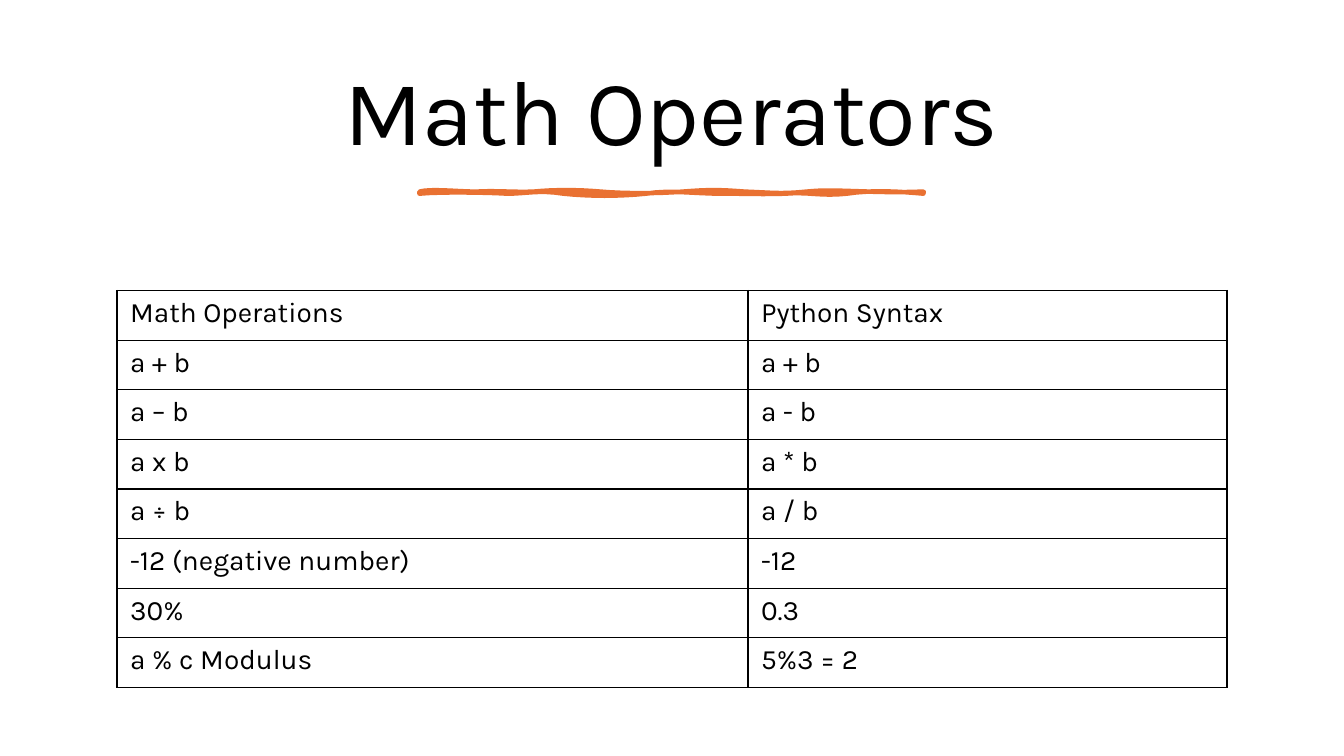
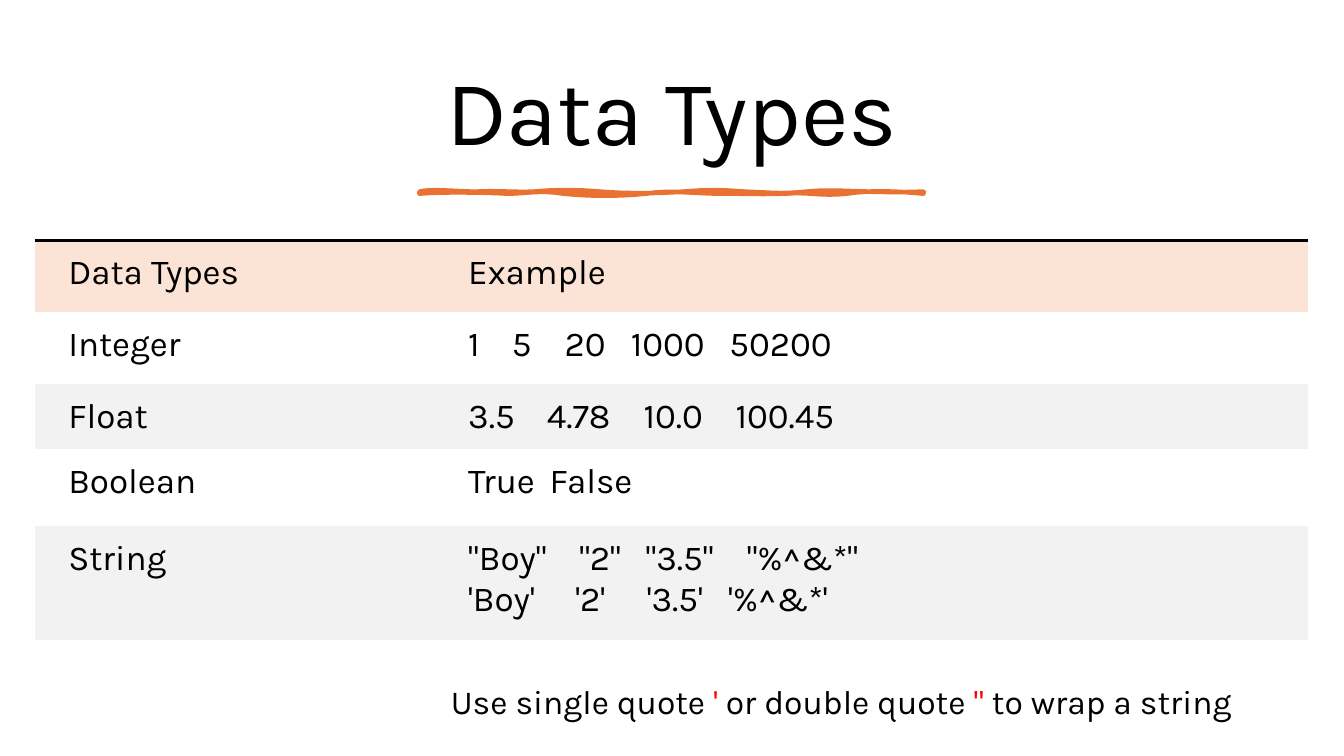
"""Build two lesson slides: Python math operators and data types."""
from dataclasses import dataclass

from lxml.etree import SubElement
from pptx import Presentation
from pptx.dml.color import RGBColor
from pptx.enum.text import MSO_ANCHOR as Anchor, MSO_AUTO_SIZE as AutoSize, PP_ALIGN as Align
from pptx.oxml import parse_xml
from pptx.oxml.ns import nsdecls, qn
from pptx.util import Cm, Pt

COLORS = {
    "text": "000000",
    "accent": "E97132",
    "quote": "FF0000",
    "header": "FBE3D6",
    "band": "F2F2F2",
}
FONT = "Karla"
TITLE_ONLY = 5
CURVE_STEPS = 8
BRUSH_START = (10.57, 4.83)
BRUSH_CURVES = [
    ((10.87, 4.75), (11.53, 4.83), (12.01, 4.83)),
    ((12.5, 4.8), (12.93, 4.85), (13.44, 4.83)),
    ((13.94, 4.78), (14.58, 4.78), (15.14, 4.83)),
    ((15.67, 4.88), (16.59, 4.88), (17.2, 4.83)),
    ((17.83, 4.78), (18.14, 4.78), (18.77, 4.83)),
    ((19.38, 4.85), (19.66, 4.9), (20.32, 4.83)),
    ((20.98, 4.75), (22.02, 4.88), (23.27, 4.83)),
    ((23.29, 4.85), (23.27, 4.85), (23.27, 4.88)),
    ((22.73, 4.83), (21.97, 4.78), (21.34, 4.88)),
    ((20.7, 4.95), (20.35, 4.83), (19.79, 4.88)),
    ((19.2, 4.9), (18.97, 4.88), (18.21, 4.88)),
    ((17.45, 4.88), (16.94, 4.78), (16.28, 4.88)),
    ((15.6, 4.95), (14.86, 4.95), (14.2, 4.88)),
    ((13.56, 4.78), (13.28, 4.88), (12.78, 4.88)),
    ((12.27, 4.85), (11.13, 4.83), (10.57, 4.88)),
]


@dataclass(frozen=True)
class Line:
    """One line of cell text with its tab stops in centimetres."""
    text: str
    stops: tuple[float, ...] = ()


@dataclass(frozen=True)
class Row:
    """One table row: a label, its lines, a height and a fill."""
    label: str
    lines: tuple[Line, ...]
    height: float = 1.25
    fill: str | None = None
    top_border: float = 0


@dataclass(frozen=True)
class TableStyle:
    """Placement and look of a table, in centimetres and points."""
    left: float
    top: float
    widths: tuple[float, float]
    margin_x: float
    margin_y: float
    size: float
    grid: float = 0


OPERATORS = [
    Row(math, (Line(syntax),))
    for math, syntax in [
        ("Math Operations", "Python Syntax"),
        ("a + b", "a + b"),
        ("a – b", "a - b"),
        ("a x b", "a * b"),
        ("a ÷ b", "a / b"),
        ("-12 (negative number)", "-12"),
        ("30%", "0.3"),
        ("a % c Modulus", "5%3 = 2"),
    ]
]
DATA_TYPES = [
    Row("Data Types", (Line("Example"),), 1.81, "header", 2.25),
    Row("Integer", (Line("1\t5\t20\t1000\t50200", (1.1, 2.43, 4.1, 6.58)),), 1.81),
    Row("Float", (Line("3.5\t4.78\t10.0\t100.45", (1.98, 4.42, 6.74)),), 1.64, "band"),
    Row("Boolean", (Line("True\tFalse", (2.05,)),), 1.94),
    Row("String", (
        Line('"Boy"\t"2"\t"3.5"\t"%^&*"', (2.8, 4.47, 7.02)),
        Line("'Boy'\t'2'\t'3.5'\t'%^&*'", (2.7, 4.5, 6.55)),
    ), 2.87, "band"),
]
OPERATOR_STYLE = TableStyle(2.95, 7.32, (15.9, 12.07), 0.33, 0.16, 20, 1)
TYPE_STYLE = TableStyle(0.88, 6.06, (10.08, 22), 0.84, 0.3, 25)
QUOTE_NOTE = [
    ("Use single quote ", "text"),
    ("'", "quote"),
    (" or double quote ", "text"),
    ('"', "quote"),
    (" to wrap a string", "text"),
]


def color(name: str) -> RGBColor:
    return RGBColor.from_string(COLORS[name])


def set_font(font, size: float, name: str = "text") -> None:
    font.name = FONT
    font.size = Pt(size)
    font.bold = False
    font.color.rgb = color(name)


def add_brush_line(slide) -> None:
    points = [BRUSH_START]
    for curve in BRUSH_CURVES:
        start = points[-1]
        for step in range(1, CURVE_STEPS + 1):
            t = step / CURVE_STEPS
            weights = ((1 - t) ** 3, 3 * t * (1 - t) ** 2, 3 * t**2 * (1 - t), t**3)
            controls = (start, *curve)
            points.append(tuple(
                sum(weight * control[axis] for weight, control in zip(weights, controls))
                for axis in (0, 1)
            ))
    outline = [(Cm(x), Cm(y)) for x, y in points]
    builder = slide.shapes.build_freeform(*outline[0])
    builder.add_line_segments(outline[1:], close=True)
    shape = builder.convert_to_shape()
    shape.shadow.inherit = False
    shape.fill.solid()
    shape.fill.fore_color.rgb = color("accent")
    shape.line.color.rgb = color("accent")
    shape.line.width = Pt(3.25)
    SubElement(shape.element.spPr.find(qn("a:ln")), qn("a:round"))


def add_titled_slide(presentation, title: str):
    slide = presentation.slides.add_slide(presentation.slide_layouts[TITLE_ONLY])
    shape = slide.shapes.title
    shape.left, shape.top, shape.width, shape.height = Cm(1.78), Cm(1.17), Cm(30.3), Cm(3.48)
    frame = shape.text_frame
    frame.text = title
    frame.auto_size = AutoSize.NONE
    frame.vertical_anchor = Anchor.MIDDLE
    paragraph = frame.paragraphs[0]
    paragraph.alignment = Align.CENTER
    paragraph.line_spacing = 0.9
    set_font(paragraph.font, 66)
    add_brush_line(slide)
    return slide


def set_borders(cell, widths: dict[str, float]) -> None:
    properties = cell._tc.get_or_add_tcPr()
    for side in "LRTB":
        width = widths.get(side, 0)
        border = SubElement(properties, qn(f"a:ln{side}"), w=str(Pt(width)))
        if width:
            fill = SubElement(border, qn("a:solidFill"))
            SubElement(fill, qn("a:srgbClr"), val=COLORS["text"])
        else:
            SubElement(border, qn("a:noFill"))


def fill_cell(cell, lines: tuple[Line, ...], row: Row, style: TableStyle) -> None:
    cell.margin_left = cell.margin_right = Cm(style.margin_x)
    cell.margin_top = cell.margin_bottom = Cm(style.margin_y)
    borders = dict.fromkeys("LRTB", style.grid)
    if row.top_border:
        borders["T"] = row.top_border
    set_borders(cell, borders)
    if row.fill:
        cell.fill.solid()
        cell.fill.fore_color.rgb = color(row.fill)
    else:
        cell.fill.background()
    frame = cell.text_frame
    frame.text = "\n".join(line.text for line in lines)
    for paragraph, line in zip(frame.paragraphs, lines):
        set_font(paragraph.font, style.size)
        if line.stops:
            tabs = "".join(f'<a:tab pos="{Cm(stop)}" algn="l"/>' for stop in line.stops)
            tab_list = parse_xml(f'<a:tabLst {nsdecls("a")}>{tabs}</a:tabLst>')
            paragraph._p.get_or_add_pPr().insert(0, tab_list)


def add_lesson_table(slide, rows: list[Row], style: TableStyle) -> None:
    height = sum(row.height for row in rows)
    table = slide.shapes.add_table(
        len(rows), 2, Cm(style.left), Cm(style.top), Cm(sum(style.widths)), Cm(height)
    ).table
    table.first_row = table.horz_banding = False
    for column, width in zip(table.columns, style.widths):
        column.width = Cm(width)
    for index, row in enumerate(rows):
        table.rows[index].height = Cm(row.height)
        fill_cell(table.cell(index, 0), (Line(row.label),), row, style)
        fill_cell(table.cell(index, 1), row.lines, row, style)


def add_quote_note(slide) -> None:
    frame = slide.shapes.add_textbox(Cm(10.57), Cm(16.79), Cm(21.26), Cm(1.9)).text_frame
    frame.word_wrap = True
    frame.vertical_anchor = Anchor.MIDDLE
    paragraph = frame.paragraphs[0]
    paragraph.alignment = Align.CENTER
    paragraph.line_spacing = 0.9
    paragraph.space_before = Pt(10)
    for text, name in QUOTE_NOTE:
        run = paragraph.add_run()
        run.text = text
        set_font(run.font, 24, name)


def main() -> None:
    presentation = Presentation()
    presentation.slide_width, presentation.slide_height = Cm(33.87), Cm(19.05)
    operators = add_titled_slide(presentation, "Math Operators")
    add_lesson_table(operators, OPERATORS, OPERATOR_STYLE)
    data_types = add_titled_slide(presentation, "Data Types")
    add_lesson_table(data_types, DATA_TYPES, TYPE_STYLE)
    add_quote_note(data_types)
    presentation.save("out.pptx")


if __name__ == "__main__":
    main()
